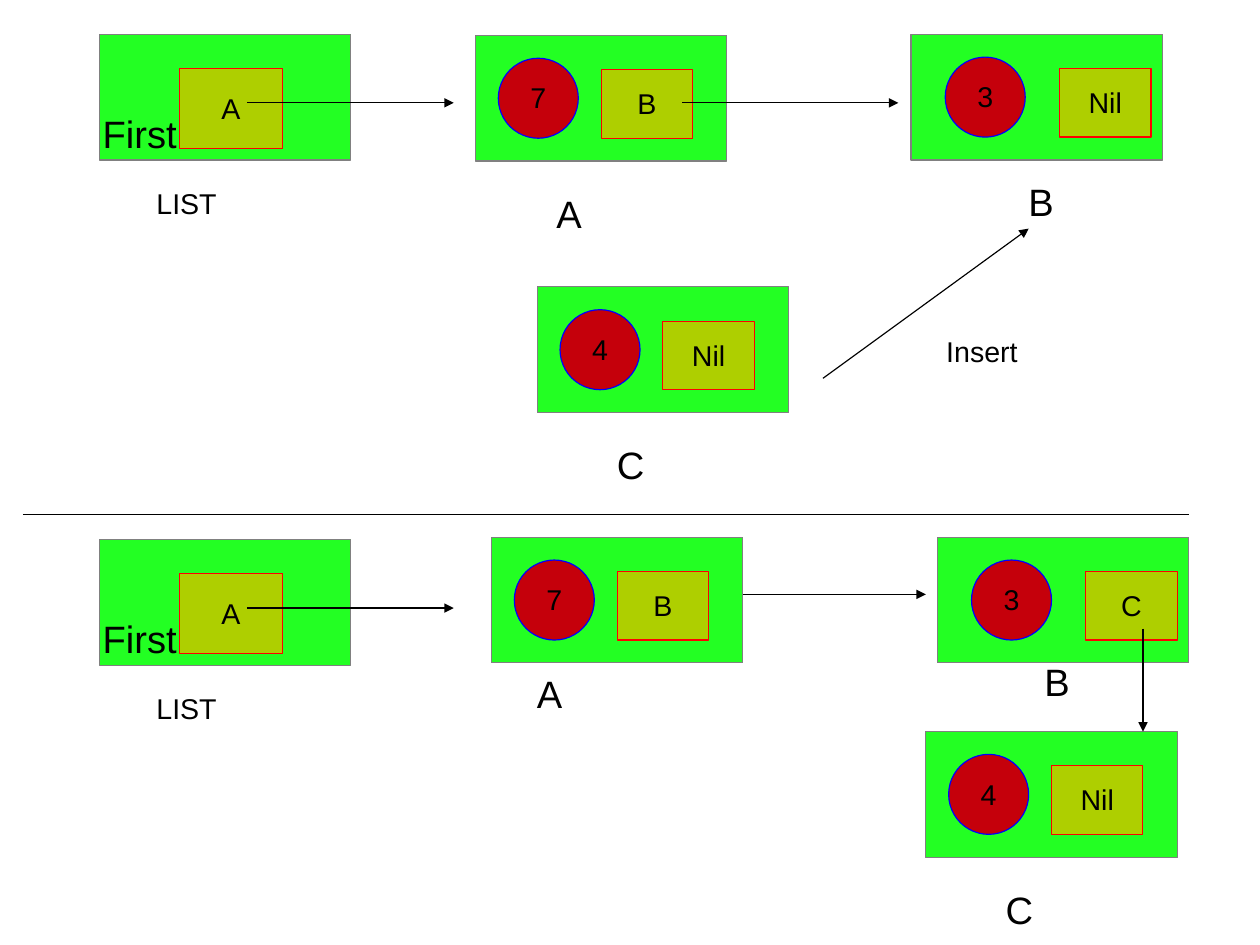
from dataclasses import dataclass

from lxml import etree
from pptx import Presentation
from pptx.dml.color import RGBColor
from pptx.enum.shapes import MSO_CONNECTOR, MSO_SHAPE
from pptx.enum.text import MSO_ANCHOR, PP_ALIGN
from pptx.oxml.ns import qn
from pptx.shapes.autoshape import Shape
from pptx.slide import Slide
from pptx.util import Inches, Pt

RECTANGLE = MSO_SHAPE.RECTANGLE
OVAL = MSO_SHAPE.OVAL
STRAIGHT = MSO_CONNECTOR.STRAIGHT
TOP, MIDDLE = MSO_ANCHOR.TOP, MSO_ANCHOR.MIDDLE
LEFT, CENTER = PP_ALIGN.LEFT, PP_ALIGN.CENTER


@dataclass(frozen=True)
class Theme:
    font: str = "Arial"
    ink: str = "000000"
    node_fill: str = "23FF23"
    node_line: str = "808080"
    value_fill: str = "C5000B"
    value_line: str = "0000FF"
    pointer_fill: str = "AECF00"
    pointer_line: str = "FF0000"
    small: float = 18
    large: float = 24
    line_width: float = 0.75
    line_spacing: float = 0.93


THEME = Theme()


@dataclass(frozen=True)
class Node:
    left: float
    top: float
    value: str
    pointer: str
    inset: float = 0.2


@dataclass(frozen=True)
class Label:
    left: float
    top: float
    text: str
    width: float = 0.36
    height: float = 0.47
    size: float = THEME.large
    inset_top: float = 0.07
    wrap: bool = True


@dataclass(frozen=True)
class Line:
    start: tuple[float, float]
    end: tuple[float, float]
    arrow: bool = True


CENTIMETRES_PER_INCH = 2.54
SLIDE_WIDTH = 28 / CENTIMETRES_PER_INCH
SLIDE_HEIGHT = 21 / CENTIMETRES_PER_INCH
NODE_WIDTH, NODE_HEIGHT = 2.2, 1.1
VALUE_SIZE = 0.7
LIST_LEFT = 0.87
LIST_TOPS = (0.3, 4.72)

NODES = (
    Node(4.16, 0.31, "7", "B"),
    Node(7.97, 0.3, "3", "Nil", inset=0.3),
    Node(4.7, 2.51, "4", "Nil"),
    Node(4.3, 4.7, "7", "B"),
    Node(8.2, 4.7, "3", "C", inset=0.3),
    Node(8.1, 6.4, "4", "Nil"),
)
LABELS = (
    Label(4.77, 1.63, "A"),
    Label(8.9, 1.53, "B"),
    Label(5.3, 3.83, "C"),
    Label(8.18, 2.9, "Insert", 0.85, 0.38, THEME.small, 0.05, False),
    Label(4.6, 5.83, "A"),
    Label(9.04, 5.73, "B"),
    Label(8.7, 7.72, "C"),
)
LINES = (
    Line((5.97, 0.9), (7.86, 0.9)),
    Line((7.2, 3.31), (9, 2)),
    Line((0.2, 4.5), (10.4, 4.5), arrow=False),
    Line((10, 5.5), (10, 6.4)),
    Line((6.5, 5.2), (8.1, 5.2)),
)


def write_text(shape: Shape, text: str, *, size: float = THEME.small,
               align: PP_ALIGN = CENTER, anchor: MSO_ANCHOR = MIDDLE,
               wrap: bool = False, inset_top: float = 0.07) -> None:
    """Write one formatted paragraph into a shape."""
    frame = shape.text_frame
    frame.word_wrap = wrap
    frame.vertical_anchor = anchor
    frame.margin_left = frame.margin_right = Inches(0.1)
    frame.margin_top, frame.margin_bottom = Inches(inset_top), Inches(0.05)
    paragraph = frame.paragraphs[0]
    paragraph.text = text
    paragraph.alignment = align
    paragraph.line_spacing = THEME.line_spacing
    paragraph.font.name = THEME.font
    paragraph.font.size = Pt(size)
    paragraph.font.color.rgb = RGBColor.from_string(THEME.ink)


def draw_shape(slide: Slide, kind: MSO_SHAPE, left: float, top: float,
               width: float, height: float, fill: str, line: str) -> Shape:
    """Draw a filled and outlined preset shape."""
    shape = slide.shapes.add_shape(
        kind, Inches(left), Inches(top), Inches(width), Inches(height))
    shape.shadow.inherit = False
    shape.fill.solid()
    shape.fill.fore_color.rgb = RGBColor.from_string(fill)
    shape.line.color.rgb = RGBColor.from_string(line)
    shape.line.width = Pt(THEME.line_width)
    return shape


def draw_box(slide: Slide, left: float, top: float) -> None:
    """Draw the green box that holds the fields."""
    draw_shape(slide, RECTANGLE, left, top, NODE_WIDTH, NODE_HEIGHT,
               THEME.node_fill, THEME.node_line)


def draw_pointer(slide: Slide, left: float, top: float, width: float,
                 height: float, text: str) -> None:
    """Draw a pointer field with the name it points to."""
    pointer = draw_shape(slide, RECTANGLE, left, top, width, height,
                         THEME.pointer_fill, THEME.pointer_line)
    write_text(pointer, text)


def draw_node(slide: Slide, node: Node) -> None:
    """Draw a list node with its value and its pointer."""
    draw_box(slide, node.left, node.top)
    value_left = node.left + node.inset
    value = draw_shape(slide, OVAL, value_left, node.top + 0.2, VALUE_SIZE,
                       VALUE_SIZE, THEME.value_fill, THEME.value_line)
    write_text(value, node.value)
    draw_pointer(slide, value_left + VALUE_SIZE + node.inset, node.top + 0.3,
                 0.8, 0.6, node.pointer)


def draw_label(slide: Slide, label: Label) -> None:
    """Draw a free-standing label."""
    box = slide.shapes.add_textbox(Inches(label.left), Inches(label.top),
                                   Inches(label.width), Inches(label.height))
    write_text(box, label.text, size=label.size, align=LEFT, anchor=TOP,
               wrap=label.wrap, inset_top=label.inset_top)


def draw_line(slide: Slide, line: Line) -> None:
    """Draw a straight line, with an arrowhead if it is an arrow."""
    connector = slide.shapes.add_connector(
        STRAIGHT, *(Inches(value) for value in line.start + line.end))
    connector.line.color.rgb = RGBColor.from_string(THEME.ink)
    connector.line.width = Pt(THEME.line_width)
    if line.arrow:
        outline = connector.line._get_or_add_ln()
        etree.SubElement(outline, qn("a:tailEnd"), type="triangle")
    etree.SubElement(connector._element.spPr, qn("a:effectLst"))


def draw_list_head(slide: Slide, top: float) -> None:
    """Draw the list head with its First pointer and arrow."""
    draw_box(slide, LIST_LEFT, top)
    draw_pointer(slide, LIST_LEFT + 0.7, top + 0.3, 0.9, 0.7, "A")
    draw_line(slide, Line((2.16, top + 0.6), (3.97, top + 0.6)))
    draw_label(slide, Label(0.8, top + 0.63, "First", 1.16))
    draw_label(slide, Label(1.27, top + 1.3, "LIST", 1.5, 0.38,
                            THEME.small, 0.05))


def main() -> None:
    """Build the linked list slide and save it."""
    presentation = Presentation()
    presentation.slide_width = Inches(SLIDE_WIDTH)
    presentation.slide_height = Inches(SLIDE_HEIGHT)
    slide = presentation.slides.add_slide(presentation.slide_layouts[6])
    for top in LIST_TOPS:
        draw_list_head(slide, top)
    for node in NODES:
        draw_node(slide, node)
    for label in LABELS:
        draw_label(slide, label)
    for line in LINES:
        draw_line(slide, line)
    presentation.save("out.pptx")


if __name__ == "__main__":
    main()
